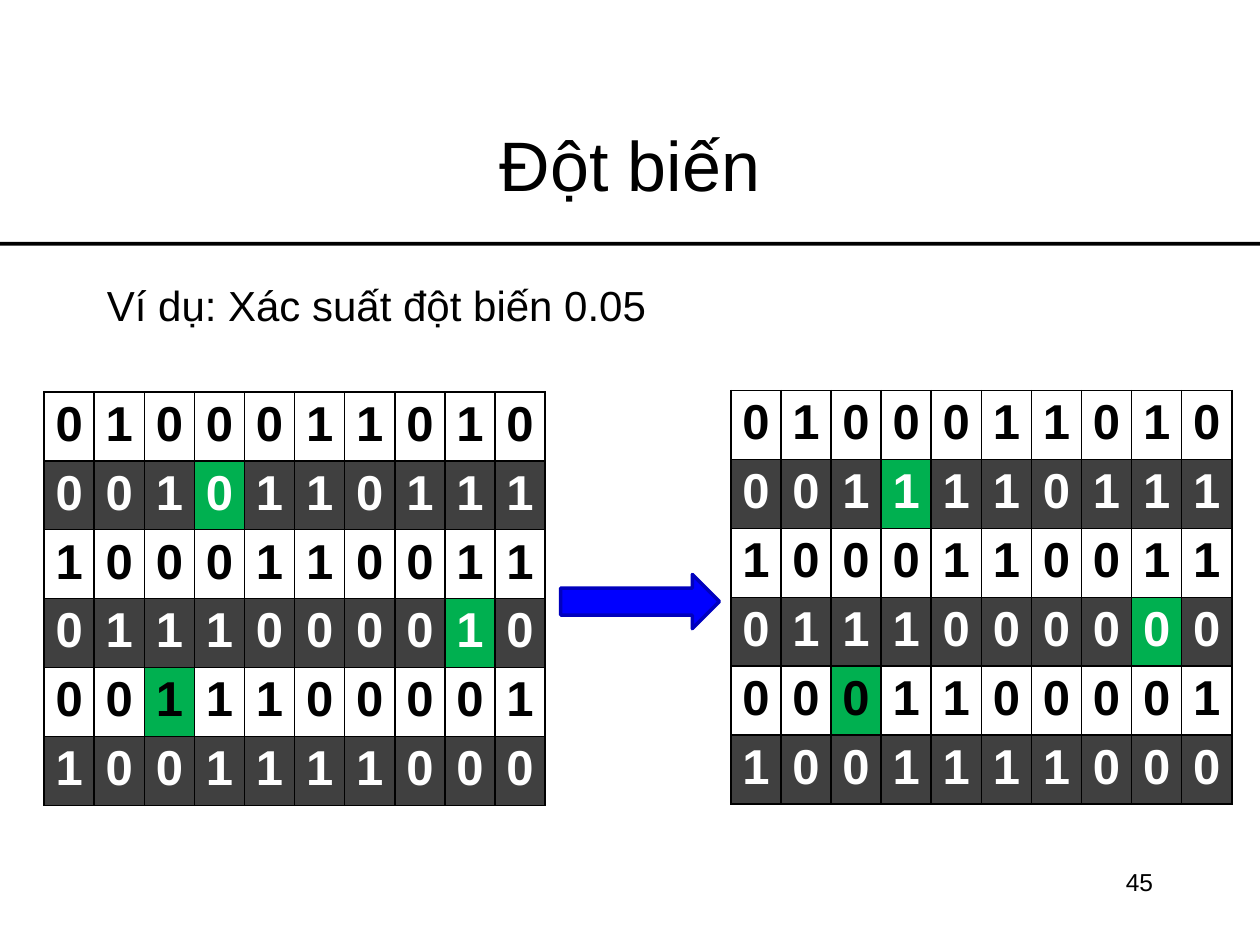
from typing import NamedTuple

from lxml import etree
from pptx import Presentation
from pptx import util as u
from pptx.dml.color import RGBColor
from pptx.enum import shapes, text
from pptx.oxml import ns

BLACK = RGBColor(0x00, 0x00, 0x00)
WHITE = RGBColor(0xFF, 0xFF, 0xFF)
DARK = RGBColor(0x40, 0x40, 0x40)
GREEN = RGBColor(0x00, 0xB0, 0x50)
BLUE = RGBColor(0x00, 0x00, 0xFF)
NAVY = RGBColor(0x00, 0x00, 0xBD)
FONT = "Arial"
WIDE, HIGH = u.Inches(10), u.Inches(7.5)

GENES = ["0100011010", "0010110111", "1000110011",
         "0111000010", "0011100001", "1001111000"]
FLIPS = {(1, 3), (3, 8), (4, 2)}  # row, column of each mutated bit


class Box(NamedTuple):
    """Left, top, width and height in percent of the slide."""
    x: float
    y: float
    w: float
    h: float

    def emu(self) -> list[int]:
        return [round(part * side / 100)
                for part, side in zip(self, (WIDE, HIGH, WIDE, HIGH))]


class Label(NamedTuple):
    words: str
    box: Box
    size: float
    align: text.PP_ALIGN
    anchor: text.MSO_ANCHOR = text.MSO_ANCHOR.TOP
    before: float = 0


LABELS = [
    Label("Đột biến", Box(7.5, 8.93, 85, 16.67), 40,
          text.PP_ALIGN.CENTER, text.MSO_ANCHOR.MIDDLE),
    Label("45", Box(71.7, 91.07, 20.8, 6.67), 14, text.PP_ALIGN.RIGHT),
    Label("Ví dụ: Xác suất đột biến 0.05", Box(7.5, 28.93, 85, 60), 24,
          text.PP_ALIGN.LEFT, before=2.5),
]


def add_run(para, words: str, size: float, color: RGBColor, bold: bool = False) -> None:
    run = para.add_run()
    run.text = words
    run.font.name, run.font.size, run.font.bold = FONT, u.Pt(size), bold
    run.font.color.rgb = color


def add_label(slide, label: Label) -> None:
    frame = slide.shapes.add_textbox(*label.box.emu()).text_frame
    frame.word_wrap = True
    frame.vertical_anchor = label.anchor
    para = frame.paragraphs[0]
    para.alignment = label.align
    para.space_before = u.Pt(label.before)
    add_run(para, label.words, label.size, BLACK)


def add_form(slide, kind: shapes.MSO_SHAPE, box: Box, fill: RGBColor):
    form = slide.shapes.add_shape(kind, *box.emu())
    form.shadow.inherit = False
    form.fill.solid()
    form.fill.fore_color.rgb = fill
    form.line.fill.background()
    return form


def add_edges(cell) -> None:
    props = cell._tc.get_or_add_tcPr()
    for side in ("a:lnL", "a:lnR", "a:lnT", "a:lnB"):
        edge = etree.SubElement(props, ns.qn(side), w=str(u.Pt(1)))
        fill = etree.SubElement(edge, ns.qn("a:solidFill"))
        etree.SubElement(fill, ns.qn("a:srgbClr"), val=str(BLACK))


def add_genes(slide, genes: list[str], box: Box) -> None:
    """Draw one gene per row, with the mutated bits in green."""
    table = slide.shapes.add_table(len(genes), len(genes[0]), *box.emu()).table
    table.first_row = table.horz_banding = False
    for row, gene in enumerate(genes):
        back, ink = (DARK, WHITE) if row % 2 else (WHITE, BLACK)
        for col, bit in enumerate(gene):
            cell = table.cell(row, col)
            cell.margin_left = cell.margin_right = u.Inches(0.09)
            cell.margin_top = cell.margin_bottom = u.Inches(0.04)
            add_edges(cell)
            cell.fill.solid()
            cell.fill.fore_color.rgb = GREEN if (row, col) in FLIPS else back
            para = cell.text_frame.paragraphs[0]
            para.alignment = text.PP_ALIGN.CENTER
            add_run(para, bit, 28, ink, bold=True)


def mutate(genes: list[str]) -> list[str]:
    return ["".join(str(1 - int(bit)) if (row, col) in FLIPS else bit
                    for col, bit in enumerate(gene))
            for row, gene in enumerate(genes)]


def main() -> None:
    deck = Presentation()
    deck.slide_width, deck.slide_height = WIDE, HIGH
    slide = deck.slides.add_slide(deck.slide_layouts[6])
    add_form(slide, shapes.MSO_SHAPE.RECTANGLE, Box(0, 25.6, 100, 0.4), BLACK)
    for label in LABELS:
        add_label(slide, label)
    add_genes(slide, GENES, Box(3.5, 41.47, 39.8, 36))
    add_genes(slide, mutate(GENES), Box(58, 41.33, 39.8, 36))
    arrow = add_form(slide, shapes.MSO_SHAPE.RIGHT_ARROW,
                     Box(44.5, 60.8, 12.6, 5.73), BLUE)
    arrow.line.color.rgb = NAVY
    arrow.line.width = u.Pt(2)
    deck.save("out.pptx")


if __name__ == "__main__":
    main()
